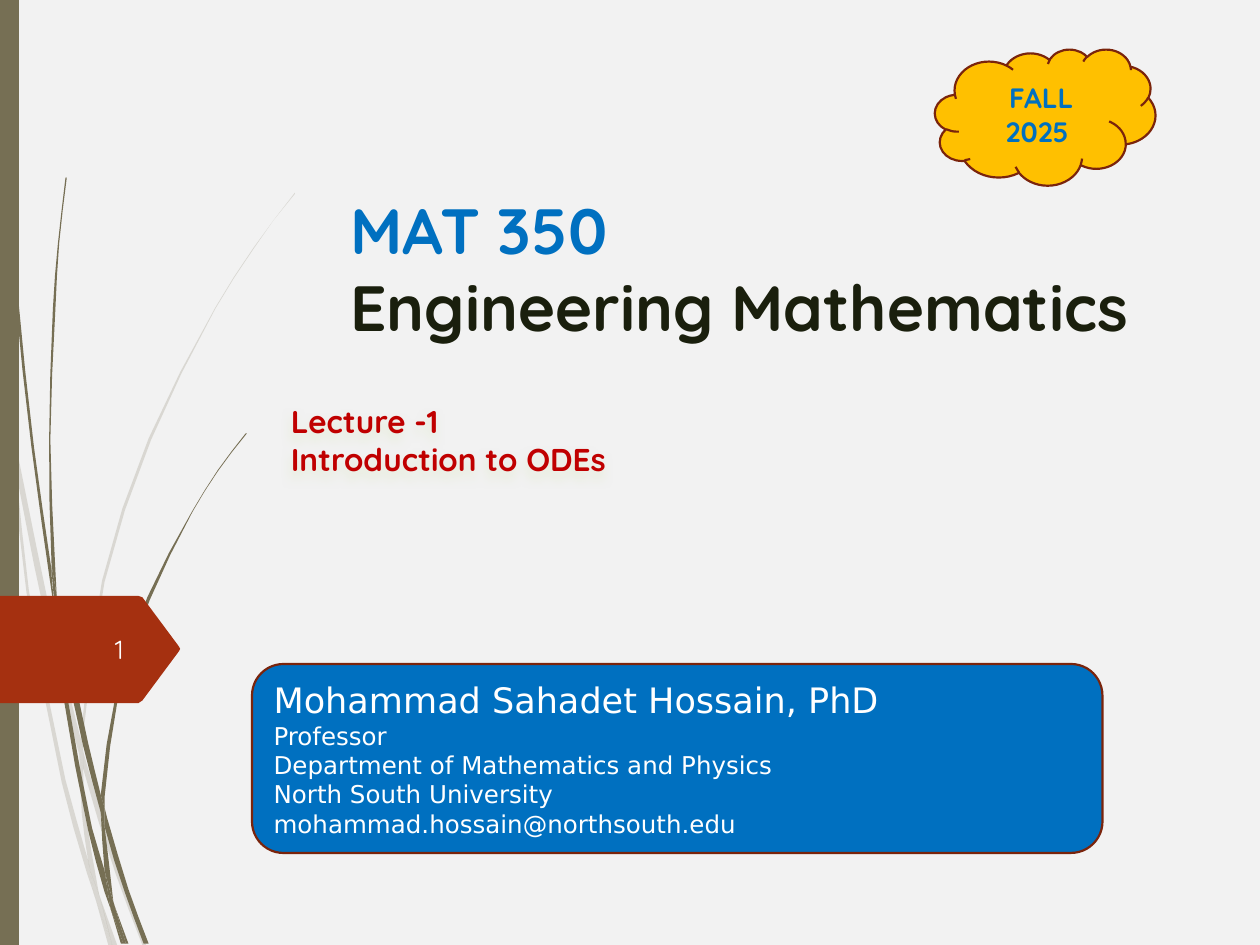
from dataclasses import dataclass

from lxml import etree
from pptx import Presentation
from pptx.dml.color import RGBColor
from pptx.enum.shapes import MSO_SHAPE
from pptx.enum.text import MSO_ANCHOR, MSO_AUTO_SIZE, PP_ALIGN
from pptx.oxml.ns import qn
from pptx.util import Pt

RECTANGLE, ROUNDED, CLOUD = MSO_SHAPE.RECTANGLE, MSO_SHAPE.ROUNDED_RECTANGLE, MSO_SHAPE.CLOUD
LEFT, CENTER, RIGHT = PP_ALIGN.LEFT, PP_ALIGN.CENTER, PP_ALIGN.RIGHT
TOP, MIDDLE, BOTTOM = MSO_ANCHOR.TOP, MSO_ANCHOR.MIDDLE, MSO_ANCHOR.BOTTOM
NO_FIT, GROW = MSO_AUTO_SIZE.NONE, MSO_AUTO_SIZE.SHAPE_TO_FIT_TEXT
EMU_PER_PX = 9144
SLIDE = (1000, 750)
LONG_SEGMENT = 30
SMOOTH_LIMIT = 0.9


@dataclass(frozen=True)
class Theme:
    paper: str = "F2F2F2"
    grass: str = "766F54"
    rust: str = "A53010"
    outline: str = "7A240C"
    blue: str = "0070C0"
    amber: str = "FFC000"
    red: str = "C00000"
    ink: str = "1A1F0D"
    haze: str = "DDE8C4"
    white: str = "FFFFFF"
    off_white: str = "FEFFFF"
    display: str = "Quicksand"
    body: str = "DejaVu Sans"
    title: float = 36.5
    name: float = 20
    lecture: float = 18
    term: float = 16
    number: float = 15
    detail: float = 14
    border: float = 1.25


THEME = Theme()

PALE_BLADES = [
    [(8, 350), (6, 322), (0, 282), (0, 299), (8, 344)],
    [(43, 522), (63, 599), (64, 586), (47, 520), (11, 345), (13, 376)],
    [(69, 607), (66, 596), (66, 610), (92, 694), (113, 750), (116, 750), (95, 692)],
    [(89, 750), (93, 750), (79, 711)],
    [(70, 683), (52, 619), (23, 469), (13, 376), (8, 350), (21, 470), (49, 621), (69, 693),
     (76, 714), (74, 707)],
    [(63, 599), (65, 646), (70, 683), (72, 692), (79, 711), (78, 706), (68, 646), (66, 610),
     (66, 608)],
    [(66, 584), (83, 462), (120, 349), (171, 245), (201, 198), (217, 175), (234, 154),
     (234, 153), (217, 175), (201, 197), (171, 244), (118, 348), (81, 461), (64, 584),
     (64, 586), (66, 596)],
    [(76, 714), (86, 750), (89, 750)],
    [(66, 608), (66, 610), (66, 596), (64, 586), (63, 599)],
    [(72, 692), (70, 683), (74, 707), (76, 714), (89, 750), (79, 711)],
]
DARK_BLADES = [
    [(5, 110), (12, 233), (25, 355), (42, 477), (43, 481), (41, 457), (41, 453), (27, 355),
     (14, 232), (6, 109), (3, 48), (3, 0), (2, 0), (3, 48)],
    [(66, 592), (80, 645), (80, 633), (80, 631), (70, 590), (45, 472), (48, 505)],
    [(85, 649), (83, 641), (83, 656), (99, 708), (114, 749), (118, 749), (102, 706)],
    [(83, 691), (73, 657), (54, 556), (48, 505), (43, 477), (51, 557), (70, 659), (83, 708),
     (88, 722), (87, 717)],
    [(45, 472), (44, 453), (40, 349), (44, 245), (47, 193), (53, 141), (52, 141), (46, 193),
     (42, 245), (39, 349), (41, 449)],
    [(100, 749), (102, 749), (91, 719)],
    [(43, 477), (48, 505), (45, 472), (41, 449), (41, 453)],
    [(83, 633), (94, 552), (119, 476), (153, 406), (173, 374), (184, 359), (196, 344),
     (195, 344), (184, 358), (173, 373), (153, 405), (117, 474), (92, 551), (80, 631),
     (83, 641)],
    [(88, 722), (96, 749), (98, 749)],
    [(80, 645), (83, 691), (87, 706), (91, 719), (90, 716), (83, 656), (81, 651)],
    [(80, 645), (81, 651), (83, 656), (83, 641), (80, 631), (80, 633)],
    [(87, 706), (83, 691), (87, 717), (88, 722), (98, 749), (100, 749), (91, 719)],
]
NUMBER_TAB = [(0, 0), (110, 0), (113, 1), (142, 40), (143, 42), (142, 44), (113, 83),
              (110, 85), (0, 85)]


def px(*lengths):
    return [int(length * EMU_PER_PX) for length in lengths]


def rgb(color):
    return RGBColor.from_string(color)


def bowed_middle(before, start, end, after):
    chord = end - start

    def tangent(prior, corner, following):
        incoming, outgoing = corner - prior, following - corner
        cosine = (incoming.conjugate() * outgoing).real / abs(incoming) / abs(outgoing)
        if cosine < SMOOTH_LIMIT:
            return chord
        return (following - prior) / abs(following - prior) * abs(chord)

    bow = tangent(before, start, end) - tangent(start, end, after)
    return (start + end) / 2 + bow / 8


def add_outline(shapes, corners, color, left=0, top=0, alpha=100, curved=True):
    knots = [complex(left + x, top + y) for x, y in corners]
    outline_points = []
    for i, start in enumerate(knots):
        end, after = (knots[(i + step) % len(knots)] for step in (1, 2))
        outline_points.append(start)
        if curved and abs(end - start) > LONG_SEGMENT:
            outline_points.append(bowed_middle(knots[i - 1], start, end, after))
    points = [px(point.real, point.imag) for point in outline_points]
    builder = shapes.build_freeform(*points[0], scale=1.0)
    builder.add_line_segments(points[1:], close=True)
    outline = builder.convert_to_shape()
    paint(outline, color)
    if alpha < 100:
        tint = outline.fill._xPr.find(qn("a:solidFill"))[0]
        etree.SubElement(tint, qn("a:alpha"), val=str(alpha * 1000))


def paint(shape, color, border=None):
    shape.shadow.inherit = False
    shape.fill.solid()
    shape.fill.fore_color.rgb = rgb(color)
    if border:
        shape.line.color.rgb = rgb(border)
        shape.line.width = Pt(THEME.border)
    else:
        shape.line.fill.background()


def add_run(paragraph, text, font, size, color, bold=False):
    run = paragraph.add_run()
    run.text = text
    run.font.name, run.font.size, run.font.bold = font, Pt(size), bold
    run.font.color.rgb = rgb(color)


def write_lines(frame, lines, align=LEFT, anchor=MIDDLE):
    frame.word_wrap = True
    frame.vertical_anchor = anchor
    for index, line in enumerate(lines):
        paragraph = frame.add_paragraph() if index else frame.paragraphs[0]
        paragraph.alignment = align
        add_run(paragraph, *line)


def draw_grass(slide):
    for blades, alpha in ((PALE_BLADES, 20), (DARK_BLADES, 100)):
        clump = slide.shapes.add_group_shape()
        for blade in blades:
            add_outline(clump.shapes, blade, THEME.grass, alpha=alpha)
    edge = slide.shapes.add_shape(RECTANGLE, *px(0, 0, 15, SLIDE[1]))
    paint(edge, THEME.grass)


def draw_page_number(slide, left, top):
    add_outline(slide.shapes, NUMBER_TAB, THEME.rust, left, top, curved=False)
    number = slide.shapes.add_textbox(*px(left + 44, top + 22, 64, 40))
    write_lines(number.text_frame, [("1", THEME.display, THEME.number, THEME.off_white)], RIGHT)


def place_title(slide, left, top, width, height):
    title = slide.shapes.title
    title.left, title.top, title.width, title.height = px(left, top, width, height)
    frame = title.text_frame
    frame.word_wrap, frame.auto_size, frame.vertical_anchor = True, NO_FIT, BOTTOM
    frame.margin_bottom = px(66)[0]
    heading = frame.paragraphs[0]
    heading.alignment = LEFT
    add_run(heading, "MAT 350", THEME.display, THEME.title, THEME.blue, True)
    heading.add_line_break()
    add_run(heading, "Engineering Mathematics", THEME.display, THEME.title, THEME.ink, True)


def draw_lecture(slide, *box):
    lecture = slide.shapes.add_textbox(*px(*box))
    lecture.text_frame.auto_size = GROW
    write_lines(lecture.text_frame,
                [(text, THEME.display, THEME.lecture, THEME.red, True)
                 for text in ("Lecture -1", "Introduction to ODEs")], anchor=TOP)
    effects = etree.SubElement(lecture._element.spPr, qn("a:effectLst"))
    shadow = etree.SubElement(effects, qn("a:outerShdw"), blurRad="76200", dist="50800",
                              dir="6600000", algn="t", rotWithShape="0")
    tint = etree.SubElement(shadow, qn("a:srgbClr"), val=THEME.haze)
    etree.SubElement(tint, qn("a:alpha"), val="60000")


def draw_lecturer(slide, *box):
    card = slide.shapes.add_shape(ROUNDED, *px(*box))
    paint(card, THEME.blue, THEME.outline)
    details = ("Professor", "Department of Mathematics and Physics",
               "North South University", "mohammad.hossain@northsouth.edu")
    write_lines(card.text_frame,
                [("Mohammad Sahadet Hossain, PhD", THEME.body, THEME.name, THEME.white)]
                + [(text, THEME.body, THEME.detail, THEME.white) for text in details])


def draw_term(slide, *box):
    term = slide.shapes.add_shape(CLOUD, *px(*box))
    paint(term, THEME.amber, THEME.outline)
    write_lines(term.text_frame,
                [(" FALL 2025", THEME.display, THEME.term, THEME.blue, True)], CENTER)


def main():
    deck = Presentation()
    deck.slide_width, deck.slide_height = px(*SLIDE)
    slide = deck.slides.add_slide(deck.slide_layouts[5])
    slide.background.fill.solid()
    slide.background.fill.fore_color.rgb = rgb(THEME.paper)
    draw_grass(slide)
    draw_page_number(slide, 0, 473)
    place_title(slide, 268, 92, 731, 247)
    draw_lecture(slide, 221, 314, 633, 71)
    draw_lecturer(slide, 200, 527, 675, 150)
    draw_term(slide, 742, 39, 175, 108)
    deck.save("out.pptx")


if __name__ == "__main__":
    main()
